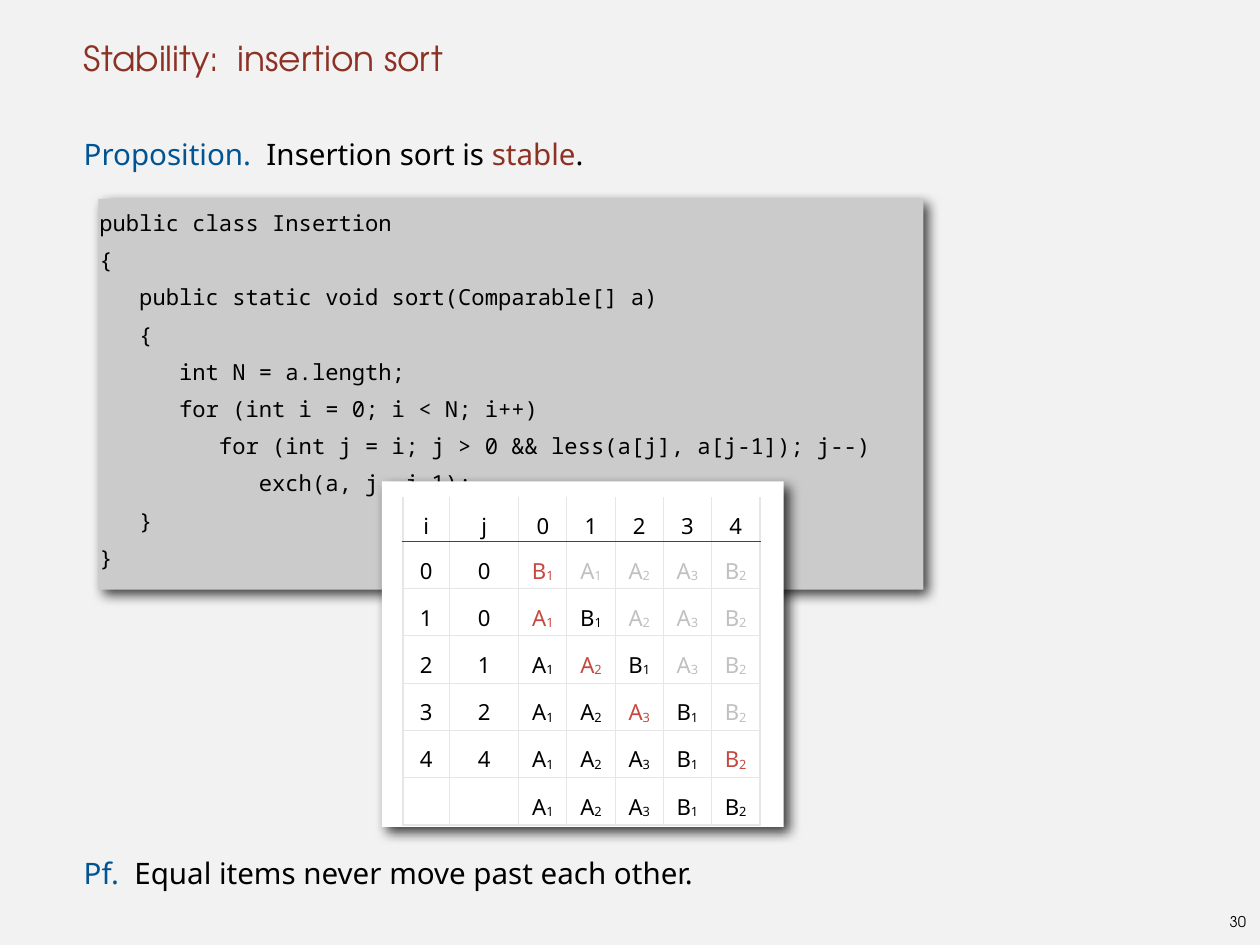
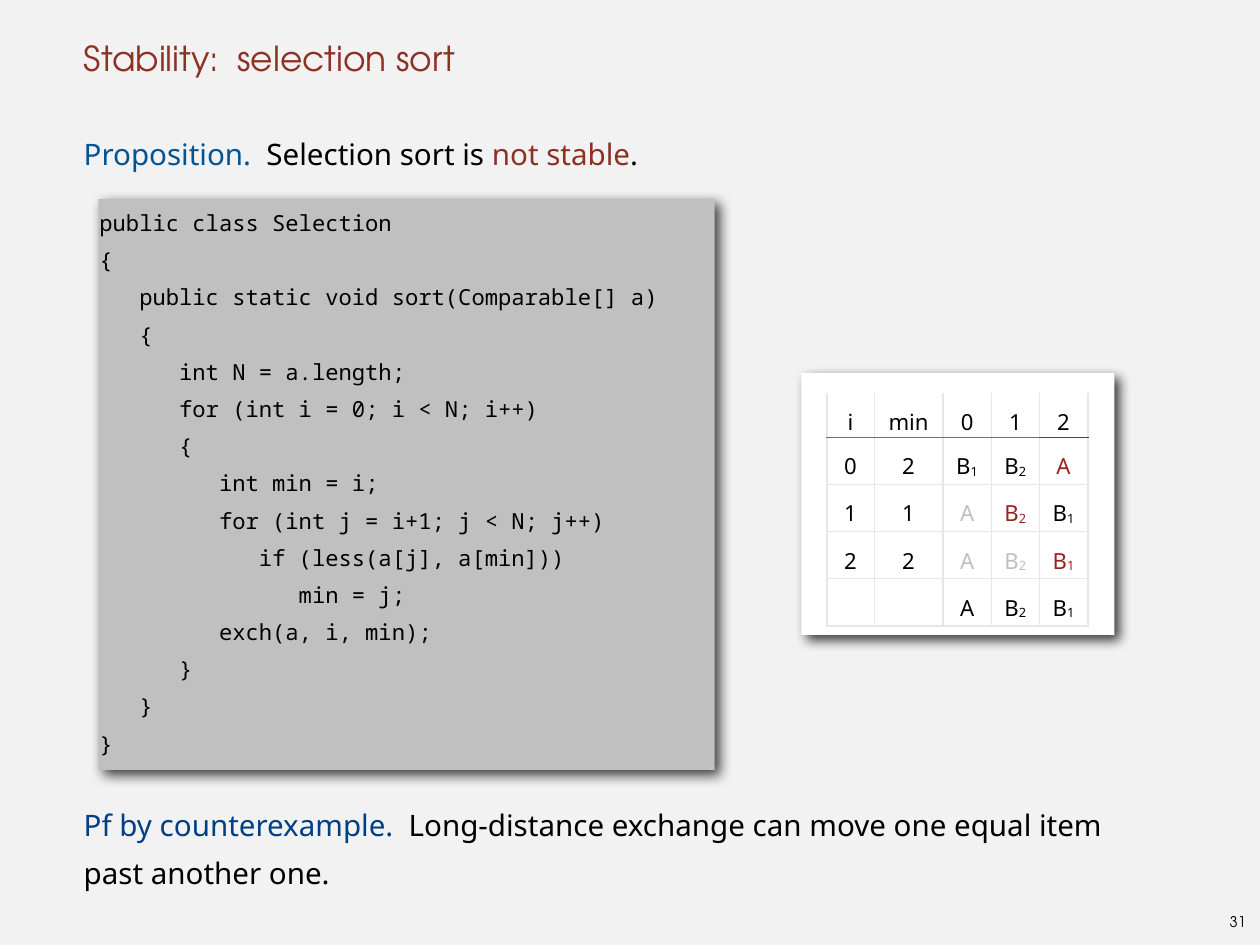
from dataclasses import dataclass

from lxml import etree
from pptx import Presentation
from pptx.dml.color import RGBColor
from pptx.enum.shapes import MSO_SHAPE
from pptx.enum.text import MSO_ANCHOR, PP_ALIGN
from pptx.oxml.ns import qn
from pptx.util import Pt

PX = 10160  # 90 px to the inch
RECT = MSO_SHAPE.RECTANGLE
TOP, MID, LOW = MSO_ANCHOR.TOP, MSO_ANCHOR.MIDDLE, MSO_ANCHOR.BOTTOM
LEFT, MIDST = PP_ALIGN.LEFT, PP_ALIGN.CENTER


@dataclass(frozen=True)
class Theme:
    paper: str = "F2F2F2"
    ink: str = "000000"
    white: str = "FFFFFF"
    title: str = "8D3124"
    blue: str = "005493"
    navy: str = "003F83"
    red: str = "C64941"
    dark: str = "96231F"
    pale: str = "C0C0C0"
    light: str = "CBCBCB"
    grid: str = "E6E6E6"
    head: str = "TeX Gyre Adventor"
    sans: str = "Noto Sans"
    mono: str = "Noto Sans Mono"
    big: int = 28
    main: int = 24
    cell: int = 18
    code: int = 18
    foot: int = 12


T = Theme()

FLAT = dict(margin_left=0, margin_top=0, margin_right=0, margin_bottom=0, word_wrap=True)
SNUG = dict(margin_left=5 * PX, margin_top=5 * PX, margin_right=5 * PX, margin_bottom=5 * PX)

INSERT = """public class Insertion
{
   public static void sort(Comparable[] a)
   {
      int N = a.length;
      for (int i = 0; i < N; i++)
         for (int j = i; j > 0 && less(a[j], a[j-1]); j--)
            exch(a, j, j-1);
   }
}"""

SELECT = """public class Selection
{
   public static void sort(Comparable[] a)
   {
      int N = a.length;
      for (int i = 0; i < N; i++)
      {
         int min = i;
         for (int j = i+1; j < N; j++)
            if (less(a[j], a[min]))
               min = j;
         exch(a, i, min);
      }
   }
}"""

# In trace rows, * marks the active item, - an item not touched, . an empty cell.
PAGES = [
    dict(
        num="30", title="Stability:  insertion sort",
        claim=[("Proposition.  ", T.blue), ("Insertion sort is ", T.ink),
               ("stable", T.title), (".", T.ink)],
        proof=[("Pf.  ", T.blue), ("Equal items never move past each other.", T.ink)],
        gap=14, code=INSERT, panel=(100, 202, 838, 397), fill=T.light,
        card=(388, 489, 408, 351), spot=(409, 505), hot=T.red, rule=T.dark,
        trace=["i j 0 1 2 3 4",
               "0 0 *B1 -A1 -A2 -A3 -B2",
               "1 0 *A1 B1 -A2 -A3 -B2",
               "2 1 A1 *A2 B1 -A3 -B2",
               "3 2 A1 A2 *A3 B1 -B2",
               "4 4 A1 A2 A3 B1 *B2",
               ". . A1 A2 A3 B1 B2"]),
    dict(
        num="31", title="Stability:  selection sort",
        claim=[("Proposition.  ", T.blue), ("Selection sort is ", T.ink),
               ("not stable", T.title), (".", T.ink)],
        proof=[("Pf by counterexample.", T.navy),
               ("  Long-distance exchange can move one equal item", T.ink),
               ("\n", T.ink), ("past another one.", T.ink)],
        gap=13, code=SELECT, panel=(100, 202, 626, 580), fill=T.pale,
        card=(814, 379, 318, 266), spot=(840, 399), hot=T.dark, rule=T.red,
        trace=["i min 0 1 2",
               "0 2 B1 B2 *A",
               "1 1 -A *B2 B1",
               "2 2 -A -B2 *B1",
               ". . A B2 B1"]),
]


def dress(item, form):
    for key, value in form.items():
        setattr(item, key, value)


def write(para, runs, face, size, inset=0, **form):
    """Fill a paragraph with (text, colour) runs; a newline is a line break."""
    if inset:
        para._p.get_or_add_pPr().set("marL", str(inset * PX))
    dress(para, form)
    for text, tint in runs:
        if text == "\n":
            para.add_line_break()
            continue
        run = para.add_run()
        run.text = text
        dress(run.font, dict(name=face, size=Pt(size)))
        run.font.color.rgb = RGBColor.from_string(tint)


deck = Presentation()
dress(deck, dict(slide_width=1280 * PX, slide_height=960 * PX))
back = deck.slide_master.background.fill
back.solid()
back.fore_color.rgb = RGBColor.from_string(T.paper)

for page in PAGES:
    slide = deck.slides.add_slide(deck.slide_layouts[6])
    shapes = slide.shapes

    # Title, body and page number
    text = shapes.add_textbox(80 * PX, 0, 1120 * PX, 80 * PX).text_frame
    dress(text, FLAT | dict(vertical_anchor=LOW))
    write(text.paragraphs[0], [(page["title"], T.title)], T.head, T.big, 5)

    text = shapes.add_textbox(80 * PX, 125 * PX, 1120 * PX, 800 * PX).text_frame
    dress(text, FLAT | dict(vertical_anchor=TOP))
    pitch = Pt(39)
    write(text.paragraphs[0], page["claim"], T.sans, T.main, 5, line_spacing=pitch)
    write(text.add_paragraph(), page["proof"], T.sans, T.main, 5,
          line_spacing=pitch, space_before=page["gap"] * pitch)

    text = shapes.add_textbox(1242 * PX, 922 * PX, 31 * PX, 29 * PX).text_frame
    dress(text, SNUG | dict(vertical_anchor=MID, word_wrap=False))
    write(text.paragraphs[0], [(page["num"], T.ink)], T.head, T.foot, alignment=MIDST)

    # Code panel and the card behind the trace
    panels = []
    for place, fill in ((page["panel"], page["fill"]), (page["card"], T.white)):
        panel = shapes.add_shape(RECT, *(n * PX for n in place))
        panel.fill.solid()
        panel.fill.fore_color.rgb = RGBColor.from_string(fill)
        panel.line.fill.background()
        panel.shadow.inherit = False
        effect = panel._element.spPr.find(qn("a:effectLst"))
        shade = etree.SubElement(effect, qn("a:outerShdw"), blurRad=str(Pt(10)),
                                 dist=str(Pt(6)), dir="2700000", rotWithShape="0")
        tint = etree.SubElement(shade, qn("a:srgbClr"), val=T.ink)
        etree.SubElement(tint, qn("a:alpha"), val="75000")
        panels.append(panel)

    text = panels[0].text_frame
    dress(text, FLAT | dict(vertical_anchor=TOP))
    for n, line in enumerate(page["code"].splitlines()):
        para = text.add_paragraph() if n else text.paragraphs[0]
        write(para, [(line, T.ink)], T.mono, T.code, 1, line_spacing=1.4, alignment=LEFT)

    # Trace table
    rows = [line.split() for line in page["trace"]]
    wides = [48, 70] + [49] * (len(rows[0]) - 2)
    highs = [32] + [48] * (len(rows) - 1)
    left, top = page["spot"]
    table = shapes.add_table(len(rows), len(wides), left * PX, top * PX,
                             sum(wides) * PX, sum(highs) * PX).table
    dress(table, dict(first_row=False, horz_banding=False))
    for col, wide in zip(table.columns, wides):
        col.width = wide * PX
    for row, high in zip(table.rows, highs):
        row.height = high * PX

    tints = {"*": page["hot"], "-": T.pale}
    last, end = len(rows) - 1, len(wides) - 1
    for r, row in enumerate(rows):
        for c, mark in enumerate(row):
            cell = table.cell(r, c)
            rule = (T.dark if c == end else page["rule"], 1)
            thin, thick = (T.grid, 1), (T.grid, 2)
            edges = dict(
                lnL=thin if c else thick,
                lnR=thick if c == end else thin,
                lnT=None if r == 0 else rule if r == 1 else thin,
                lnB=rule if r == 0 else thick if r == last else thin)
            props = cell._tc.get_or_add_tcPr()
            for side, edge in edges.items():
                line = etree.SubElement(props, qn("a:" + side))
                if edge is None:
                    etree.SubElement(line, qn("a:noFill"))
                    continue
                line.set("w", str(Pt(edge[1])))
                solid = etree.SubElement(line, qn("a:solidFill"))
                etree.SubElement(solid, qn("a:srgbClr"), val=edge[0])
            cell.fill.solid()
            cell.fill.fore_color.rgb = RGBColor.from_string(T.white)
            dress(cell, SNUG | dict(vertical_anchor=MID))
            if mark == ".":
                continue
            tint = tints.get(mark[0], T.ink)
            word = mark.lstrip("*-")
            parts = [word[0], word[1:]] if word[0] in "AB" else [word]
            para = cell.text_frame.paragraphs[0]
            write(para, [(part, tint) for part in parts if part], T.sans, T.cell,
                  line_spacing=1.3, alignment=MIDST)
            for run in para.runs[1:]:
                run.font._element.set("baseline", "-6000")

deck.save("out.pptx")
